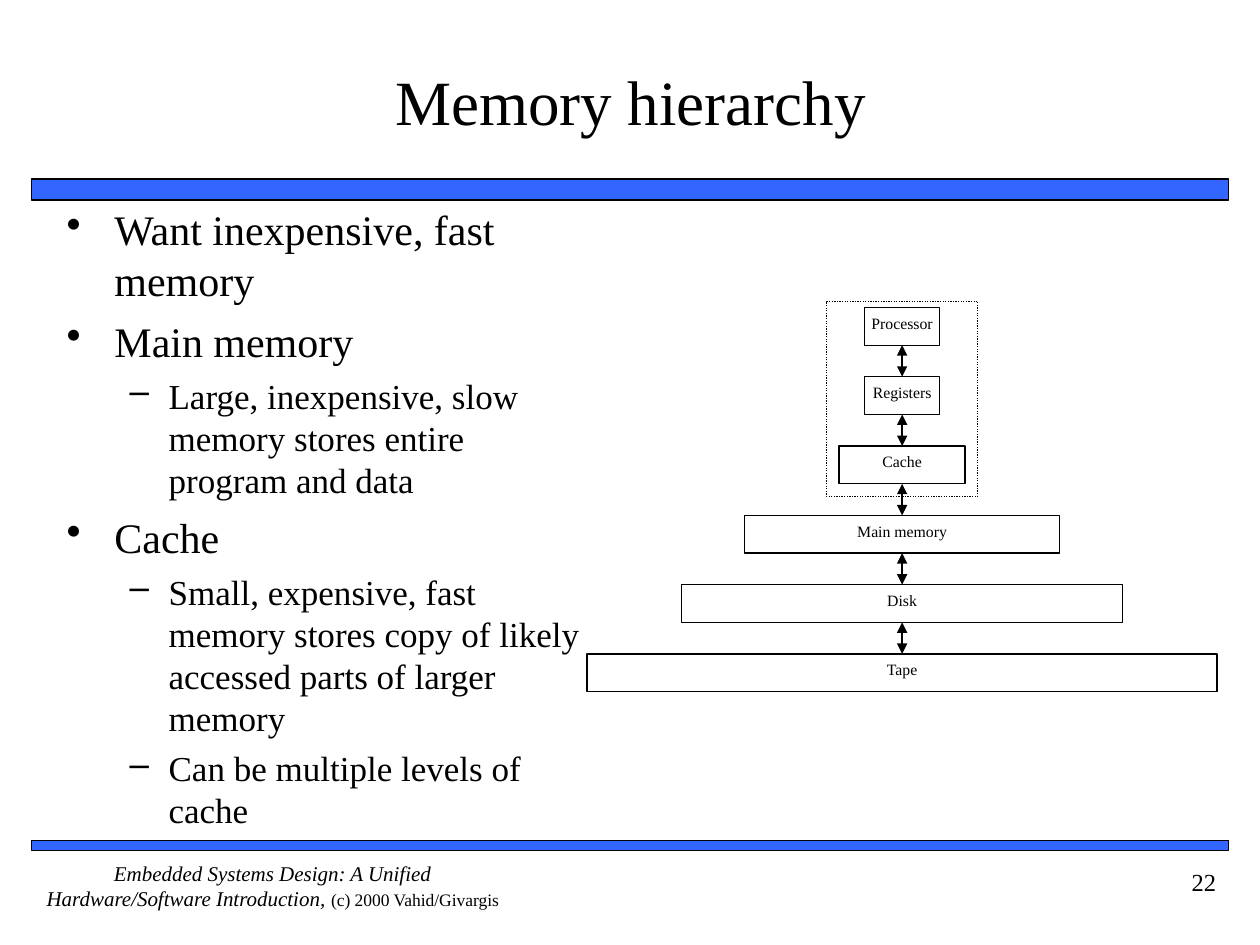
from dataclasses import dataclass

from lxml import etree
from pptx import Presentation
from pptx.dml.color import RGBColor
from pptx.enum.dml import MSO_LINE
from pptx.enum.shapes import MSO_CONNECTOR, MSO_SHAPE
from pptx.enum.text import MSO_ANCHOR, PP_ALIGN
from pptx.oxml.ns import qn
from pptx.util import Inches, Pt

RECT = MSO_SHAPE.RECTANGLE
STRAIGHT = MSO_CONNECTOR.STRAIGHT
DOTTED = MSO_LINE.ROUND_DOT
TOP, MIDDLE = MSO_ANCHOR.TOP, MSO_ANCHOR.MIDDLE
LEFT, CENTER, RIGHT = PP_ALIGN.LEFT, PP_ALIGN.CENTER, PP_ALIGN.RIGHT
TOP_SIDE, BOTTOM_SIDE = 0, 2


@dataclass(frozen=True)
class Theme:
    font: str = "Times New Roman"
    ink: RGBColor = RGBColor(0x00, 0x00, 0x00)
    paper: RGBColor = RGBColor(0xFF, 0xFF, 0xFF)
    bar: RGBColor = RGBColor(0x33, 0x66, 0xFF)
    title: float = 36
    number: float = 14
    footer: float = 12
    credit: float = 10
    label: float = 9
    bar_line: float = 1
    line: float = 0.75


@dataclass(frozen=True)
class Level:
    size: float
    bullet: str
    margin: float
    hang: float
    before: float


THEME = Theme()
LEVELS = (Level(24, "•", 0.38, 0.38, 6), Level(20, "–", 0.81, 0.31, 5))

POINTS = (
    (0, "Want inexpensive, fast memory"),
    (0, "Main memory"),
    (1, "Large, inexpensive, slow memory stores entire program and data"),
    (0, "Cache"),
    (1, "Small, expensive, fast memory stores copy of likely accessed parts of larger memory"),
    (1, "Can be multiple levels of cache"),
)

# Memory levels from fastest to largest: label, box width, side inset
MEMORIES = (
    ("Processor", 0.6, 0),
    ("Registers", 0.6, 0),
    ("Cache", 1, 0.1),
    ("Main memory", 2.5, 0.1),
    ("Disk", 3.5, 0.1),
    ("Tape", 5, 0.1),
)
AXIS, FIRST_TOP, BOX_HEIGHT, PITCH = 7.16, 2.44, 0.3, 0.55


def set_frame(tf, side=0.1, edge=0.05, anchor=TOP):
    tf.word_wrap = True
    tf.vertical_anchor = anchor
    tf.margin_left = tf.margin_right = Inches(side)
    tf.margin_top = tf.margin_bottom = Inches(edge)


def set_font(font, size):
    font.name, font.size = THEME.font, Pt(size)
    font.color.rgb = THEME.ink


def write(p, text, size, align=LEFT):
    p.text = text
    p.alignment = align
    set_font(p.font, size)


def add_text_box(slide, left, top, width, height, **frame):
    sp = slide.shapes.add_textbox(
        Inches(left), Inches(top), Inches(width), Inches(height))
    set_frame(sp.text_frame, **frame)
    return sp.text_frame


def add_rect(slide, left, top, width, height, fill=None, line=THEME.line):
    sp = slide.shapes.add_shape(
        RECT, Inches(left), Inches(top), Inches(width), Inches(height))
    sp.shadow.inherit = False
    if fill is None:
        sp.fill.background()
    else:
        sp.fill.solid()
        sp.fill.fore_color.rgb = fill
    sp.line.color.rgb = THEME.ink
    sp.line.width = Pt(line)
    return sp


def add_double_arrow(slide, upper, lower):
    cx = slide.shapes.add_connector(STRAIGHT, 0, 0, 0, 0)
    cx.begin_connect(upper, BOTTOM_SIDE)
    cx.end_connect(lower, TOP_SIDE)
    cx.line.color.rgb = THEME.ink
    cx.line.width = Pt(THEME.line)
    ln = cx.line._get_or_add_ln()
    for end in ("a:headEnd", "a:tailEnd"):
        etree.SubElement(ln, qn(end), type="triangle")
    etree.SubElement(cx._element.spPr, qn("a:effectLst"))


def add_title(slide, text):
    sp = slide.shapes.title
    sp.left, sp.top = Inches(0.42), Inches(0.17)
    sp.width, sp.height = Inches(9.17), Inches(1.25)
    set_frame(sp.text_frame, side=0, anchor=MIDDLE)
    write(sp.text_frame.paragraphs[0], text, THEME.title, CENTER)


def add_bullets(slide, points):
    tf = add_text_box(slide, 0.43, 1.57, 4.28, 5.06)
    for i, (depth, text) in enumerate(points):
        p = tf.add_paragraph() if i else tf.paragraphs[0]
        level = LEVELS[depth]
        write(p, text, level.size)
        p.level = depth
        p.space_before = Pt(level.before)
        pPr = p._p.get_or_add_pPr()
        pPr.set("marL", str(Inches(level.margin)))
        pPr.set("indent", str(-Inches(level.hang)))
        bullet = etree.Element(qn("a:buChar"), char=level.bullet)
        pPr.find(qn("a:defRPr")).addprevious(bullet)


def add_hierarchy(slide):
    # Dotted frame around the on-chip levels
    frame = add_rect(slide, AXIS - 0.6, FIRST_TOP - 0.05, 1.2, 1.55)
    frame.line.dash_style = DOTTED
    boxes = []
    for i, (label, width, side) in enumerate(MEMORIES):
        sp = add_rect(slide, AXIS - width / 2, FIRST_TOP + i * PITCH,
                      width, BOX_HEIGHT, THEME.paper)
        set_frame(sp.text_frame, side=side)
        write(sp.text_frame.paragraphs[0], label, THEME.label, CENTER)
        boxes.append(sp)
    for upper, lower in zip(boxes, boxes[1:]):
        add_double_arrow(slide, upper, lower)


def add_footer(slide):
    p = add_text_box(slide, 0.25, 6.83, 3.83, 0.5, side=0, edge=0).paragraphs[0]
    p.alignment = CENTER
    for text, size, italic in (
        ("Embedded Systems Design: A Unified Hardware/Software Introduction, ",
         THEME.footer, True),
        ("(c) 2000 Vahid/Givargis", THEME.credit, False),
    ):
        r = p.add_run()
        r.text = text
        set_font(r.font, size)
        r.font.italic = italic


def add_number(slide, text):
    p = add_text_box(slide, 8.75, 6.83, 1, 0.5).paragraphs[0]
    write(p, text, THEME.number, RIGHT)
    p.space_before = Pt(8.8)


def main():
    prs = Presentation()
    prs.slide_width, prs.slide_height = Inches(10), Inches(7.5)
    slide = prs.slides.add_slide(prs.slide_layouts[5])

    # Bars below the title and above the footer
    for top, height in ((1.42, 0.17), (6.67, 0.08)):
        add_rect(slide, 0.25, top, 9.5, height, THEME.bar, THEME.bar_line)

    # Content
    add_title(slide, "Memory hierarchy")
    add_bullets(slide, POINTS)
    add_hierarchy(slide)

    # Footer
    add_footer(slide)
    add_number(slide, "22")
    prs.save("out.pptx")


if __name__ == "__main__":
    main()
